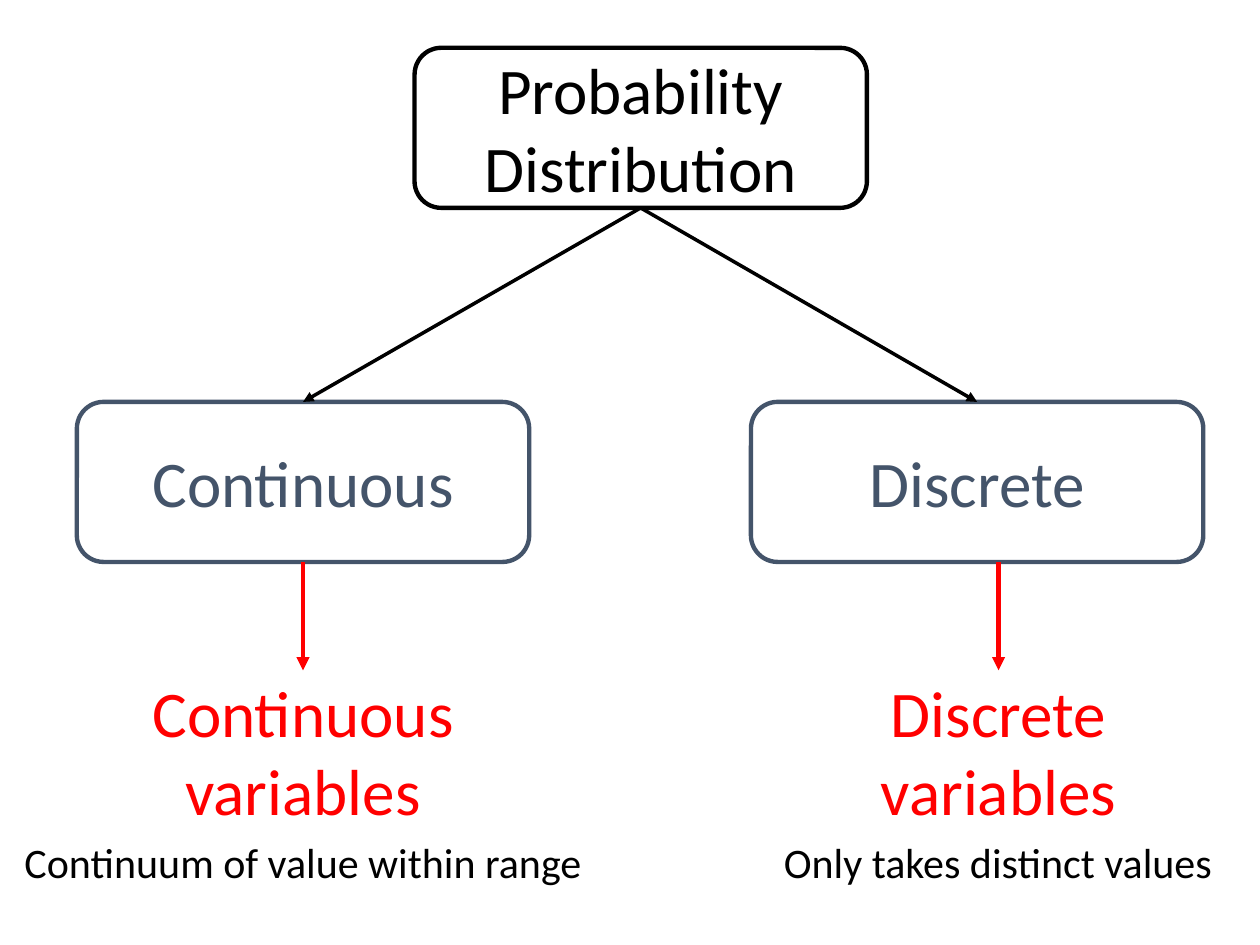
from lxml import etree
from pptx import Presentation
from pptx.dml.color import RGBColor
from pptx.enum.shapes import MSO_CONNECTOR, MSO_SHAPE
from pptx.enum.text import MSO_ANCHOR, PP_ALIGN
from pptx.oxml.ns import qn
from pptx.util import Inches, Pt

ROUNDED = MSO_SHAPE.ROUNDED_RECTANGLE
STRAIGHT = MSO_CONNECTOR.STRAIGHT
MIDDLE = MSO_ANCHOR.MIDDLE
CENTER = PP_ALIGN.CENTER
TOP, BOTTOM = 0, 2  # connection sites

THEME = {
    "font": "Calibri",
    "root": RGBColor(0x00, 0x00, 0x00),
    "type": RGBColor(0x44, 0x54, 0x6A),
    "variable": RGBColor(0xFF, 0x00, 0x00),
    "node_size": Pt(37.2),
    "caption_size": Pt(24),
    "outline": Pt(2.5),
    "branch": Pt(2),
}
NODE_W, NODE_H = 3.59, 1.27
ROOT_Y, TYPE_Y, VARIABLE_Y, CAPTION_Y = 0.38, 3.19, 5.32, 6.59

prs = Presentation()
prs.slide_width, prs.slide_height = Inches(10), Inches(7.5)
slide = prs.slides.add_slide(prs.slide_layouts[6])


def add_node(label, left, top, color, outlined=True):
    node = slide.shapes.add_shape(
        ROUNDED, Inches(left), Inches(top), Inches(NODE_W), Inches(NODE_H))
    node.shadow.inherit = False
    node.fill.background()
    if outlined:
        node.line.color.rgb = color
        node.line.width = THEME["outline"]
    else:
        node.line.fill.background()
    frame = node.text_frame
    frame.word_wrap = True
    frame.vertical_anchor = MIDDLE
    paragraph = frame.paragraphs[0]
    paragraph.text = label
    paragraph.alignment = CENTER
    paragraph.space_after = Pt(6)
    style = {"name": THEME["font"], "size": THEME["node_size"]}
    for attribute, value in style.items():
        setattr(paragraph.font, attribute, value)
    paragraph.font.color.rgb = color
    return node


def add_arrow(source, target, color, width, start_x=None):
    """Join two nodes; start_x leaves the start free on the source's lower edge."""
    x = source.left + source.width // 2 if start_x is None else start_x
    arrow = slide.shapes.add_connector(
        STRAIGHT, x, source.top + source.height,
        target.left + target.width // 2, target.top)
    if start_x is None:
        arrow.begin_connect(source, BOTTOM)
    arrow.end_connect(target, TOP)
    arrow.line.color.rgb = color
    arrow.line.width = width
    etree.SubElement(arrow.line._get_or_add_ln(), qn("a:tailEnd"), type="triangle")
    etree.SubElement(arrow._element.spPr, qn("a:effectLst"))


# Root of the tree
root = add_node("Probability Distribution", 3.29, ROOT_Y, THEME["root"])

# Branches: type, type left, variable left, caption, caption left, caption width
branches = [
    ("Continuous", 0.61, 0.61, "Continuum of value within range", 0.05, 4.71),
    ("Discrete", 5.96, 6.13, "Only takes distinct values", 5.68, 4.48),
]
for kind, kind_x, variable_x, caption, caption_x, caption_w in branches:
    kind_node = add_node(kind, kind_x, TYPE_Y, THEME["type"])
    variable = add_node(f"{kind} variables", variable_x, VARIABLE_Y,
                        THEME["variable"], outlined=False)
    add_arrow(root, kind_node, THEME["root"], THEME["branch"])

    # The arrow stays vertical where the variable is offset from its type
    aligned = kind_x == variable_x
    start_x = None if aligned else variable.left + variable.width // 2
    add_arrow(kind_node, variable, THEME["variable"], THEME["outline"], start_x)

    # Caption under the variable
    caption_box = slide.shapes.add_textbox(
        Inches(caption_x), Inches(CAPTION_Y), Inches(caption_w), Inches(0.5))
    caption_box.text_frame.word_wrap = True
    line = caption_box.text_frame.paragraphs[0]
    line.text = caption
    line.alignment = CENTER
    style = {"name": THEME["font"], "size": THEME["caption_size"]}
    for attribute, value in style.items():
        setattr(line.font, attribute, value)
    line.font.color.rgb = THEME["root"]

prs.save("out.pptx")
